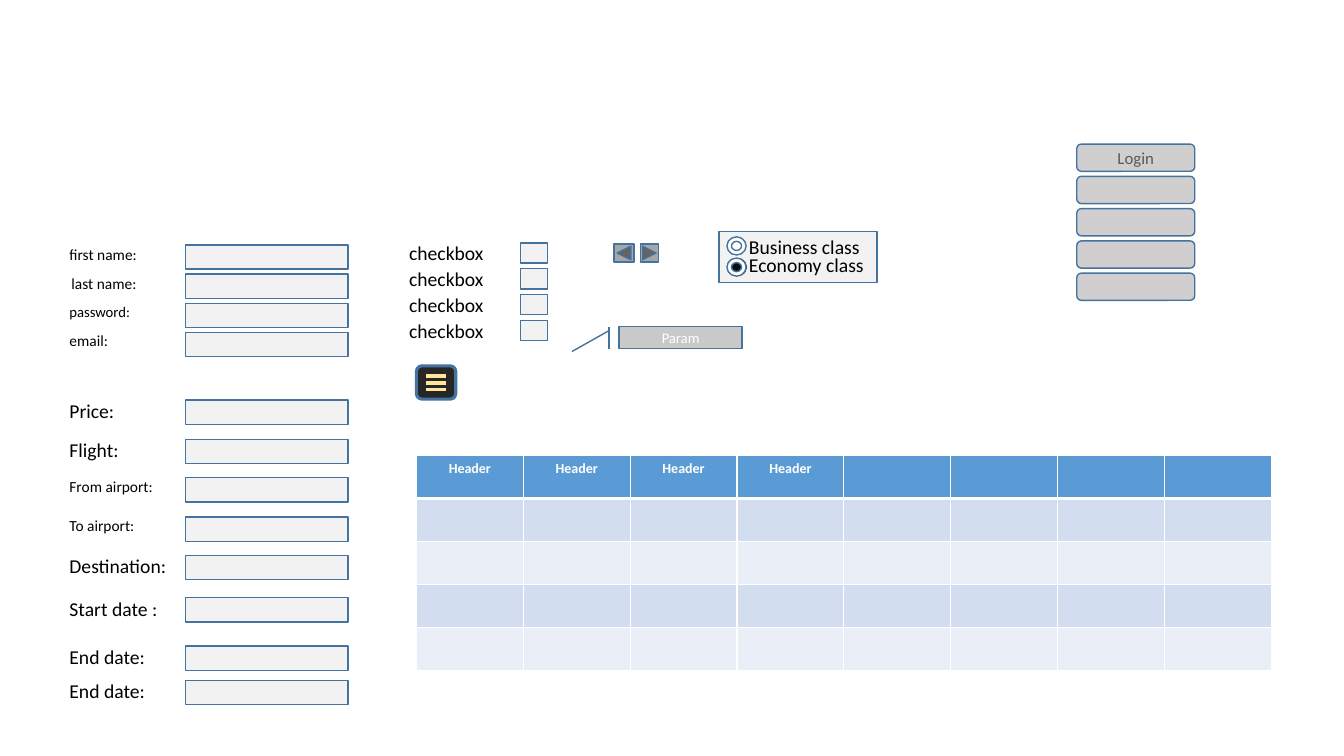
from lxml import etree
from pptx import Presentation
from pptx import util as u
from pptx.dml.color import RGBColor
from pptx.enum import shapes, text
from pptx.oxml import ns

PX = 9144  # one hundred px to the inch
FONT = "Calibri"
BLACK = RGBColor(0x00, 0x00, 0x00)
WHITE = RGBColor(0xFF, 0xFF, 0xFF)
OUTLINE = RGBColor(0x43, 0x73, 0x9E)
FIELD_FILL = RGBColor(0xF2, 0xF2, 0xF2)
ARROW_FILL = RGBColor(0xA6, 0xA6, 0xA6)
MENU_FILL = RGBColor(0x26, 0x26, 0x26)
MENU_BAR = RGBColor(0xFF, 0xE6, 0x99)
PARAM_FILL = RGBColor(0xC9, 0xC9, 0xC9)
DOT_FILL = RGBColor(0x0D, 0x0D, 0x0D)
BUTTON_FILL = RGBColor(0xD0, 0xCE, 0xCE)
BUTTON_TEXT = RGBColor(0x59, 0x59, 0x59)
HEADER_FILL = RGBColor(0x5B, 0x9B, 0xD5)
BAND_FILLS = (RGBColor(0xD2, 0xDE, 0xEF), RGBColor(0xEA, 0xEF, 0xF7))
KIND = shapes.MSO_SHAPE

# label, field top, label left, label top, text size
FIELDS = (
    ("first name:", 243, 59, 238, 11),
    ("last name:", 272, 61, 267, 11),
    ("password:", 301, 59, 295, 10.5),
    ("email:", 330, 59, 324, 11),
    ("Price:", 397, 59, 391, 14),
    ("Flight:", 436, 59, 430, 14),
    ("From airport:", 474, 59, 468, 11),
    ("To airport:", 513, 59, 507, 11),
    ("Destination:", 551, 59, 545, 14),
    ("Start date :", 593, 59, 587, 14),
    ("End date:", 641, 59, 635, 14),
    ("End date:", 675, 59, 669, 14),
)
HEADERS = ("Header",) * 4 + ("",) * 4


def px(*lengths):
    return [u.Emu(round(length * PX)) for length in lengths]


def format_text(frame, words, size, color, align=None, bold=None):
    frame.text = words
    paragraph = frame.paragraphs[0]
    paragraph.alignment = align
    for run in paragraph.runs:
        run.font.name = FONT
        run.font.size = u.Pt(size)
        run.font.bold = bold
        run.font.color.rgb = color


def add_box(parent, kind, box, fill, outline=OUTLINE, width=1):
    shape = parent.shapes.add_shape(kind, *px(*box))
    shape.shadow.inherit = False
    shape.fill.solid()
    shape.fill.fore_color.rgb = fill
    if outline is None:
        shape.line.fill.background()
    else:
        shape.line.color.rgb = outline
        shape.line.width = u.Pt(width)
    return shape


def add_centred_text(shape, words, size, color):
    shape.text_frame.vertical_anchor = text.MSO_ANCHOR.MIDDLE
    format_text(shape.text_frame, words, size, color, text.PP_ALIGN.CENTER)


def add_label(parent, words, box, size):
    frame = parent.shapes.add_textbox(*px(*box)).text_frame
    frame.word_wrap = True
    frame.auto_size = text.MSO_AUTO_SIZE.SHAPE_TO_FIT_TEXT
    format_text(frame, words, size, BLACK)


def add_fields(slide, left, width, height):
    for words, top, label_left, label_top, size in FIELDS:
        group = slide.shapes.add_group_shape()
        add_box(group, KIND.RECTANGLE, (left, top, width, height), FIELD_FILL)
        label_height = 34 if size == 14 else 29
        add_label(group, words, (label_left, label_top, 125, label_height), size)


def add_checkboxes(slide, left, top, count, pitch):
    for index in range(count):
        row_top = top + index * pitch
        group = slide.shapes.add_group_shape()
        add_box(group, KIND.RECTANGLE, (left + 120, row_top + 7, 27, 20), FIELD_FILL)
        add_label(group, "checkbox", (left, row_top, 120, 34), 14)


def set_border(cell, side, width):
    properties = cell._tc.get_or_add_tcPr()
    line = etree.SubElement(properties, ns.qn("a:ln" + side), w=str(u.Pt(width)))
    fill = etree.SubElement(line, ns.qn("a:solidFill"))
    etree.SubElement(fill, ns.qn("a:srgbClr"), val=str(WHITE))


def add_results_table(slide, left, top, width, height, row_count):
    frame = slide.shapes.add_table(row_count, len(HEADERS), *px(left, top, width, height))
    for row_index, row in enumerate(frame.table.rows):
        for words, cell in zip(HEADERS, row.cells):
            # Thick rule between the header and the body
            widths = {"L": 1, "R": 1, "T": 3 if row_index == 1 else 1,
                      "B": 3 if row_index == 0 else 1}
            for side, line_width in widths.items():
                set_border(cell, side, line_width)
            cell.fill.solid()
            if row_index:
                cell.fill.fore_color.rgb = BAND_FILLS[(row_index - 1) % 2]
            else:
                cell.fill.fore_color.rgb = HEADER_FILL
                format_text(cell.text_frame, words, 10, WHITE,
                            text.PP_ALIGN.CENTER, True)


def add_arrow_buttons(slide, left, top):
    add_box(slide, KIND.ACTION_BUTTON_FORWARD_OR_NEXT, (left + 26, top, 18, 18), ARROW_FILL)
    add_box(slide, KIND.ACTION_BUTTON_BACK_OR_PREVIOUS, (left, top, 20, 18), ARROW_FILL)


def add_menu_button(slide, left, top, width, height):
    group = slide.shapes.add_group_shape()
    add_box(group, KIND.ROUNDED_RECTANGLE, (left, top, width, height), MENU_FILL, width=2.25)
    for offset in (10, 17, 23):
        y = top + offset
        bar = group.shapes.add_connector(
            shapes.MSO_CONNECTOR.STRAIGHT, *px(left + 10, y, left + 29, y))
        bar.line.color.rgb = MENU_BAR
        bar.line.width = u.Pt(2.25)
        etree.SubElement(bar._element.spPr, ns.qn("a:effectLst"))


def add_param_callout(slide, box):
    callout = add_box(slide, KIND.LINE_CALLOUT_1_BORDER_AND_ACCENT_BAR, box, PARAM_FILL)
    add_centred_text(callout, "Param", 10.5, WHITE)


def add_class_choice(slide, left, top, width, height):
    group = slide.shapes.add_group_shape()
    add_box(group, KIND.FLOWCHART_PROCESS, (left, top, width, height), FIELD_FILL)
    options = (("Economy class", 16, 137, 26, DOT_FILL),
               ("Business class", -2, 132, 5, WHITE))
    for words, label_offset, label_width, dot_offset, dot_fill in options:
        add_label(group, words, (left + 20, top + label_offset, label_width, 34), 14)
        dot_left, dot_top = left + 8, top + dot_offset
        add_box(group, KIND.FLOWCHART_CONNECTOR, (dot_left, dot_top, 20, 18), dot_fill, None)
        add_box(group, KIND.DONUT, (dot_left, dot_top, 19, 18), WHITE)


def add_buttons(slide, left, top, width, height, pitch):
    group = slide.shapes.add_group_shape()
    for index, words in enumerate(("Login", "", "", "", "")):
        button = add_box(group, KIND.ROUNDED_RECTANGLE,
                         (left, top + index * pitch, width, height), BUTTON_FILL)
        if words:
            add_centred_text(button, words, 12, BUTTON_TEXT)


def main():
    presentation = Presentation()
    presentation.slide_width, presentation.slide_height = u.Inches(13.33), u.Inches(7.5)
    slide = presentation.slides.add_slide(presentation.slide_layouts[6])

    # Form on the left
    add_fields(slide, 184, 161, 24)
    # Controls in the middle
    add_checkboxes(slide, 396, 234, 4, 25.67)
    add_results_table(slide, 413, 452, 848, 213, 5)
    add_arrow_buttons(slide, 609, 242)
    add_menu_button(slide, 413, 363, 39, 33)
    add_param_callout(slide, (614, 324, 122, 22))
    add_class_choice(slide, 713, 230, 157, 50)
    # Buttons on the right
    add_buttons(slide, 1068, 143, 117, 27, 32)

    presentation.save("out.pptx")


if __name__ == "__main__":
    main()
